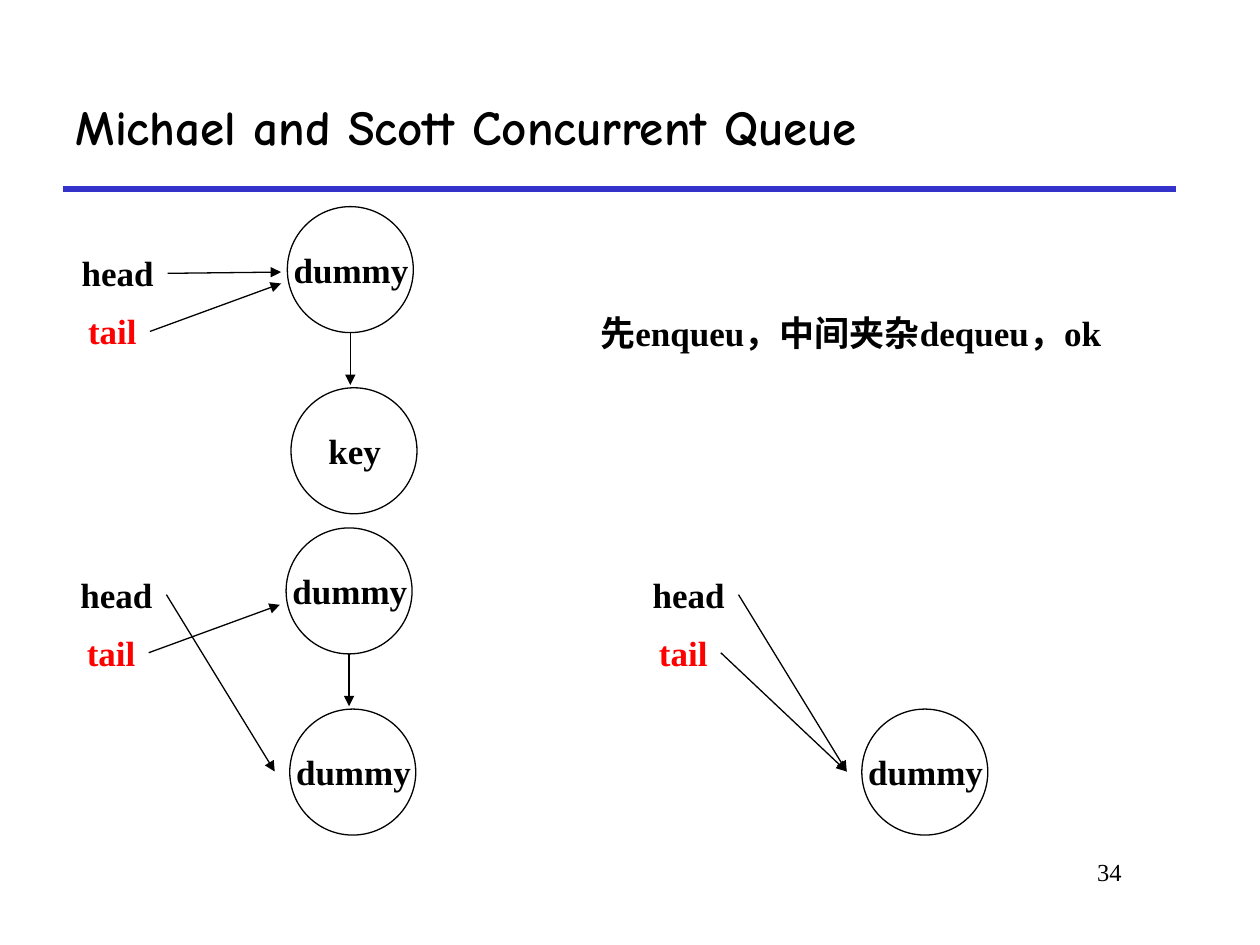
from lxml.etree import SubElement
from pptx import Presentation
from pptx.dml.color import RGBColor
from pptx.enum.shapes import MSO_CONNECTOR, MSO_SHAPE
from pptx.enum.text import MSO_ANCHOR, PP_ALIGN
from pptx.oxml.ns import qn
from pptx.util import Pt

SERIF = "Times New Roman"
BLACK, RED, BLUE = "000000", "FF0000", "3333CC"
DIAMETER = 72
UPPER_NODE, LOWER_NODE = (124.6, -22.3), (126.7, 81.2)
HEAD_START, TAIL_START = (56.2, 15.8), (46.1, 49)
HEAD_TO_UPPER, TAIL_TO_UPPER = (121, 15.1), (121, 21.6)
TO_LOWER = (118.1, 116.9)


def colour(hex_code):
    """Return the colour for a hex string."""
    return RGBColor.from_string(hex_code)


def format_text(frame, size, hex_code=BLACK, bold=True, align=PP_ALIGN.LEFT, font=SERIF):
    """Give all text in a frame one look."""
    for paragraph in frame.paragraphs:
        paragraph.alignment = align
        for run in paragraph.runs:
            run.font.name = font
            run.font.size = Pt(size)
            run.font.bold = bold
            run.font.color.rgb = colour(hex_code)


def add_label(shapes, text, box, size=20, wrap=False, **look):
    """Add a text box at left, top, width and height."""
    frame = shapes.add_textbox(*map(Pt, box)).text_frame
    frame.word_wrap = wrap
    frame.text = text
    format_text(frame, size, **look)


def add_line(shapes, start, end, width=0.75, hex_code=BLACK, arrow=True):
    """Add a straight line, with an arrowhead at its end if wanted."""
    line = shapes.add_connector(MSO_CONNECTOR.STRAIGHT, *map(Pt, (*start, *end)))
    line.line.width = Pt(width)
    line.line.color.rgb = colour(hex_code)
    if arrow:
        SubElement(line.line._get_or_add_ln(), qn("a:tailEnd"), type="triangle")
    SubElement(line._element.spPr, qn("a:effectLst"))


def add_node(shapes, text, position):
    """Add a queue node: a circle with its label."""
    left, top = position
    circle = shapes.add_shape(MSO_SHAPE.OVAL, Pt(left), Pt(top), Pt(DIAMETER), Pt(DIAMETER))
    circle.shadow.inherit = False
    circle.fill.background()
    circle.line.color.rgb = colour(BLACK)
    circle.line.width = Pt(0.75)
    add_label(shapes, text, (left - 8.6, top + 20.2, 90, 31.7), wrap=True, align=PP_ALIGN.CENTER)


def add_queue(slide, origin, upper, lower, head_target, tail_target):
    """Add one queue state as a group, placed by its head label."""
    shapes = slide.shapes.add_group_shape().shapes

    def place(offset):
        """Move an offset to the queue's origin."""
        return origin[0] + offset[0], origin[1] + offset[1]

    if upper:
        add_node(shapes, upper, place(UPPER_NODE))
        add_line(shapes, place((160.6, 49.7)), place((160.6, 79.6)))
    add_node(shapes, lower, place(LOWER_NODE))
    add_label(shapes, "tail", (*place((3.6, 33.1)), 42.5, 31.7), hex_code=RED)
    add_line(shapes, place(TAIL_START), place(tail_target))
    add_label(shapes, "head", (*origin, 56.2, 31.7))
    add_line(shapes, place(HEAD_START), place(head_target))


def add_title(slide, text):
    """Fill and place the title, with the rule below it."""
    title = slide.shapes.title
    title.left, title.top, title.width, title.height = map(Pt, (36, 36, 636, 72))
    title.text_frame.text = text
    title.text_frame.vertical_anchor = MSO_ANCHOR.MIDDLE
    format_text(title.text_frame, 28, font="Comic Neue")
    add_line(slide.shapes, (36, 108), (672, 108), 3, BLUE, arrow=False)


def main():
    """Build and save the slide."""
    deck = Presentation()
    deck.slide_width, deck.slide_height = Pt(720), Pt(540)
    slide = deck.slides.add_slide(deck.slide_layouts[5])
    add_title(slide, "Michael and Scott Concurrent Queue")
    add_queue(slide, (39.6, 140.4), "dummy", "key", HEAD_TO_UPPER, TAIL_TO_UPPER)
    add_queue(slide, (38.9, 324), "dummy", "dummy", TO_LOWER, TAIL_TO_UPPER)
    add_queue(slide, (365.8, 324), None, "dummy", TO_LOWER, TO_LOWER)
    add_label(slide.shapes, "先enqueu，中间夹杂dequeu，ok", (336, 174.2, 310.3, 31.7), wrap=True)
    add_label(slide.shapes, "34", (545.8, 486, 102.2, 36), 14, wrap=True,
              bold=False, align=PP_ALIGN.RIGHT)
    deck.save("out.pptx")


main()
